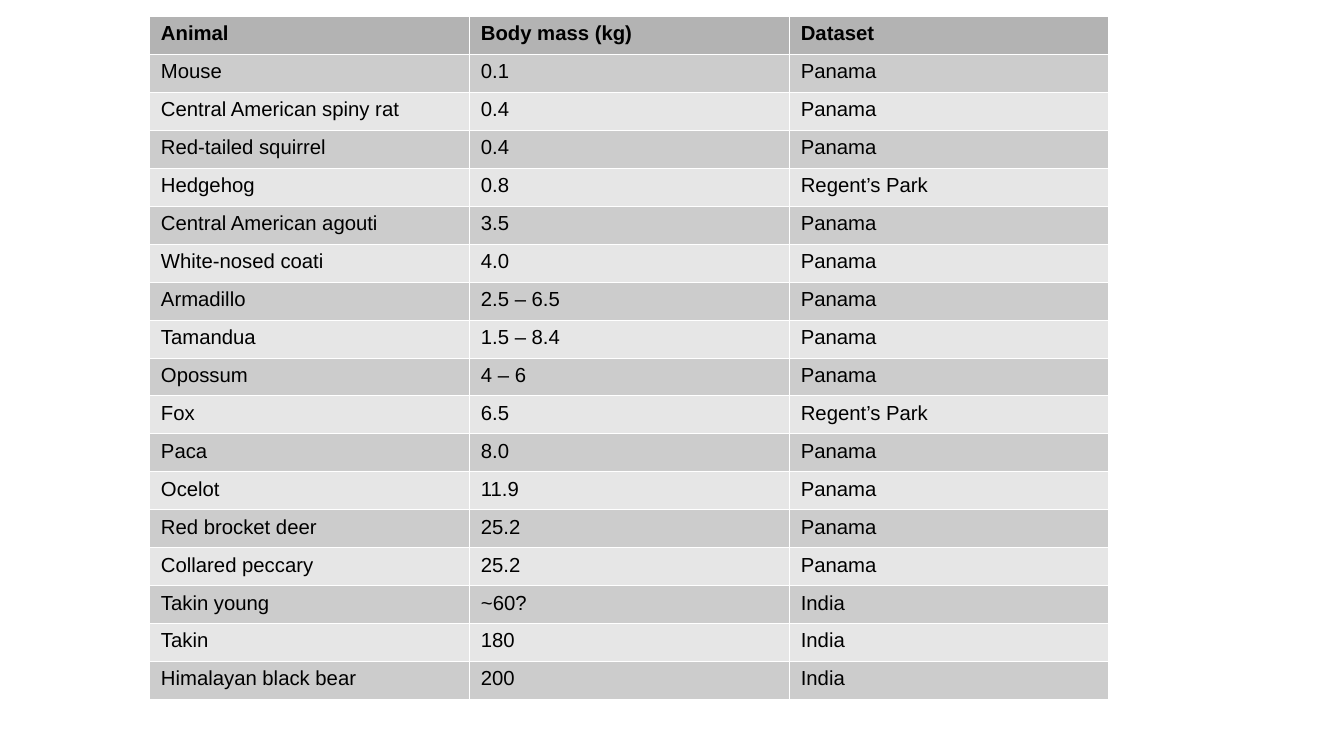
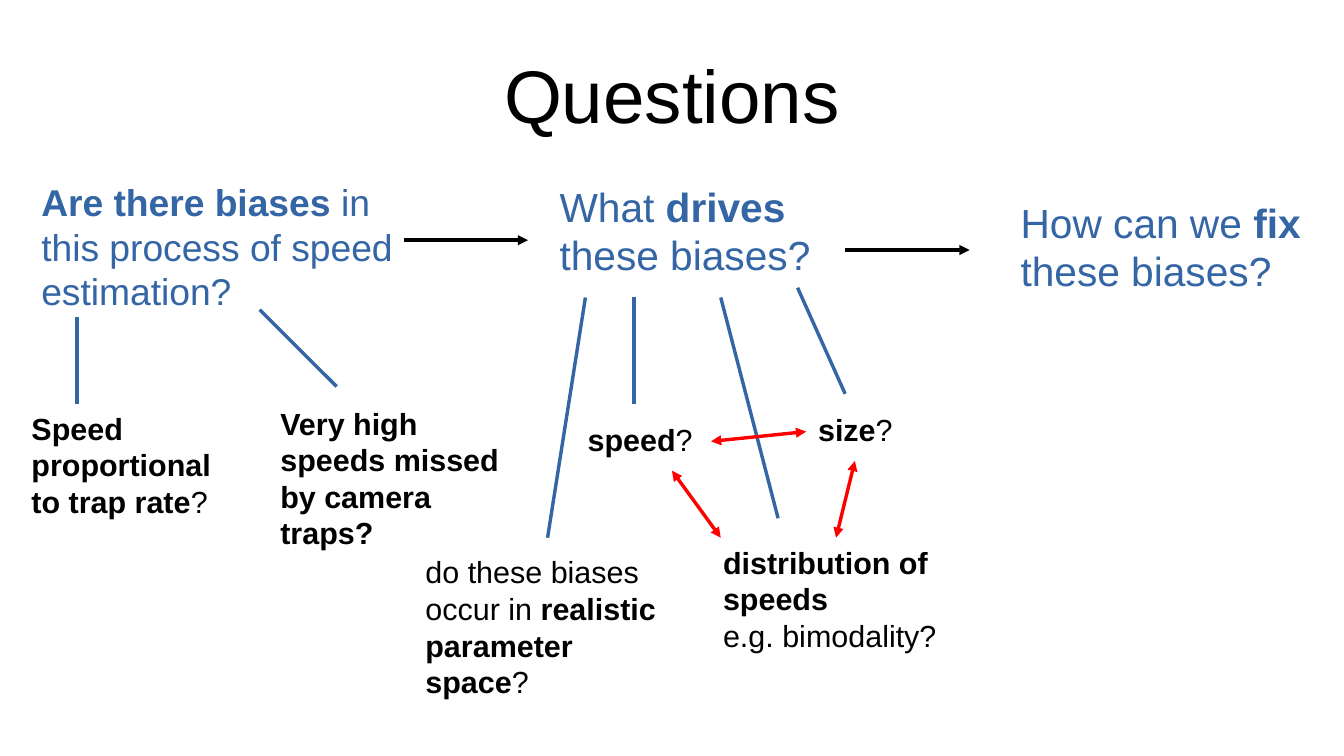
from lxml.etree import SubElement
from pptx import Presentation
from pptx.dml.color import RGBColor
from pptx.enum.shapes import MSO_CONNECTOR
from pptx.enum.text import MSO_ANCHOR, MSO_AUTO_SIZE, PP_ALIGN
from pptx.oxml.ns import qn
from pptx.util import Pt

PX = 9144  # EMU in one px, 100 px to the inch
BLACK = RGBColor(0x00, 0x00, 0x00)
BLUE = RGBColor(0x34, 0x65, 0xA4)
RED = RGBColor(0xFF, 0x00, 0x00)
WHITE = RGBColor(0xFF, 0xFF, 0xFF)
HEADER_GREY = RGBColor(0xB3, 0xB3, 0xB3)
BAND_GREYS = (RGBColor(0xE6, 0xE6, 0xE6), RGBColor(0xCC, 0xCC, 0xCC))

TITLE_ONLY, BLANK = 5, 6
FRAME = {"word_wrap": True, "auto_size": MSO_AUTO_SIZE.SHAPE_TO_FIT_TEXT}
TEXT_MARGINS = {"margin_left": 10 * PX, "margin_right": 10 * PX,
                "margin_top": 5 * PX, "margin_bottom": 5 * PX}
NO_MARGINS = dict.fromkeys(TEXT_MARGINS, 0)

ANIMALS = [
    ("Animal", "Body mass (kg)", "Dataset"),
    ("Mouse", "0.1", "Panama"),
    ("Central American spiny rat", "0.4", "Panama"),
    ("Red-tailed squirrel", "0.4", "Panama"),
    ("Hedgehog", "0.8", "Regent’s Park"),
    ("Central American agouti", "3.5", "Panama"),
    ("White-nosed coati", "4.0", "Panama"),
    ("Armadillo", "2.5 – 6.5", "Panama"),
    ("Tamandua", "1.5 – 8.4", "Panama"),
    ("Opossum", "4 – 6", "Panama"),
    ("Fox", "6.5", "Regent’s Park"),
    ("Paca", "8.0", "Panama"),
    ("Ocelot", "11.9", "Panama"),
    ("Red brocket deer", "25.2", "Panama"),
    ("Collared peccary", "25.2", "Panama"),
    ("Takin young", "~60?", "India"),
    ("Takin", "180", "India"),
    ("Himalayan black bear", "200", "India"),
]

# Text between asterisks is bold.
QUESTIONS = [
    ((24, 142, 315, 112), 22, "*Are there biases* in this process of speed estimation?"),
    ((449, 144, 244, 84), 24, "What *drives* these biases?"),
    ((827, 157, 260, 121), 24, "How can we *fix* these biases?"),
]
DETAILS = [
    ((16, 331, 189, 122), "*Speed proportional to trap rate*?"),
    ((220, 327, 205, 122), "*Very high speeds missed by camera traps?*"),
    ((472, 340, 157, 38), "*speed*?"),
    ((661, 332, 157, 38), "*size*?"),
    ((339, 449, 220, 150), "do these biases occur in *realistic parameter space*?"),
]
STEPS = [(331, 197, 433, 197), (693, 205, 795, 205)]
BRANCHES = [
    (63, 260, 63, 331), (213, 254, 276, 317), (520, 244, 520, 331),
    (654, 236, 693, 323), (591, 244, 638, 425), (480, 244, 449, 441),
]
RELATIONS = [(583, 362, 661, 354), (551, 386, 591, 441)]


def apply(target, values):
    for name, value in values.items():
        setattr(target, name, value)


class Deck:
    def __init__(self, width, height):
        self.prs = Presentation()
        apply(self.prs, {"slide_width": width * PX, "slide_height": height * PX})
        self.slide = None

    def new_slide(self, layout):
        self.slide = self.prs.slides.add_slide(self.prs.slide_layouts[layout])

    def add_runs(self, paragraph, text, size, color=BLACK):
        """Add the text as runs; parts between asterisks are bold."""
        for index, part in enumerate(text.split("*")):
            if part:
                run = paragraph.add_run()
                run.text = part
                apply(run.font, {"name": "Arial", "size": Pt(size), "bold": index % 2 == 1})
                run.font.color.rgb = color

    def title(self, box, text):
        title = self.slide.shapes.title
        apply(title, dict(zip(("left", "top", "width", "height"), (v * PX for v in box))))
        frame = title.text_frame
        apply(frame, {**FRAME, **NO_MARGINS, "vertical_anchor": MSO_ANCHOR.MIDDLE})
        frame.paragraphs[0].alignment = PP_ALIGN.CENTER
        self.add_runs(frame.paragraphs[0], text, 44)

    def text(self, box, size, text, color=BLACK):
        label = self.slide.shapes.add_textbox(*(v * PX for v in box))
        frame = label.text_frame
        apply(frame, {**FRAME, **TEXT_MARGINS})
        for index, line in enumerate(text.split("\n")):
            paragraph = frame.add_paragraph() if index else frame.paragraphs[0]
            self.add_runs(paragraph, line, size, color)
        return label

    def line(self, points, color, arrows=()):
        """Draw a hairline; arrows names the ends with a triangle."""
        line = self.slide.shapes.add_connector(
            MSO_CONNECTOR.STRAIGHT, *(v * PX for v in points))
        line.line.width = Pt(0)
        line.line.color.rgb = color
        properties = line._element.spPr
        for end in arrows:
            SubElement(properties.find(qn("a:ln")), qn(f"a:{end}"), type="triangle")
        SubElement(properties, qn("a:effectLst"))
        return line

    def table(self, box, rows, size):
        left, top, width, height = (v * PX for v in box)
        table = self.slide.shapes.add_table(
            len(rows), len(rows[0]), left, top, width, height).table
        for column in table.columns:
            column.width = width // len(rows[0])
        for index, values in enumerate(rows):
            table.rows[index].height = height // len(rows)
            fill = BAND_GREYS[index % 2] if index else HEADER_GREY
            for cell, value in zip(table.rows[index].cells, values):
                self.borders(cell)
                cell.fill.solid()
                cell.fill.fore_color.rgb = fill
                apply(cell, TEXT_MARGINS)
                self.add_runs(cell.text_frame.paragraphs[0],
                              value if index else f"*{value}*", size)

    def borders(self, cell):
        properties = cell._tc.get_or_add_tcPr()
        for side in ("lnL", "lnR", "lnT", "lnB"):
            border = SubElement(properties, qn(f"a:{side}"), w=str(Pt(0.06)))
            SubElement(SubElement(border, qn("a:solidFill")), qn("a:srgbClr"), val=str(WHITE))


def main():
    deck = Deck(1102, 620)

    deck.new_slide(BLANK)
    deck.table((122, 13, 787, 561), ANIMALS, 12)

    deck.new_slide(TITLE_ONLY)
    deck.title((55, 25, 992, 104), "Questions")
    for box, size, question in QUESTIONS:
        deck.text(box, size, question, BLUE)
    for box, detail in DETAILS:
        deck.text(box, 18, detail)
    distribution = deck.text((583, 441, 205, 122), 18,
                             "*distribution of speeds*\ne.g. bimodality?")
    for points in STEPS:
        deck.line(points, BLACK, ["tailEnd"])
    for points in BRANCHES:
        deck.line(points, BLUE)
    both_ends = ["headEnd", "tailEnd"]
    for points in RELATIONS:
        deck.line(points, RED, both_ends)
    size_to_distribution = deck.line((701, 378, 685, 441), RED, both_ends)
    size_to_distribution.end_connect(distribution, 0)

    deck.prs.save("out.pptx")


if __name__ == "__main__":
    main()
